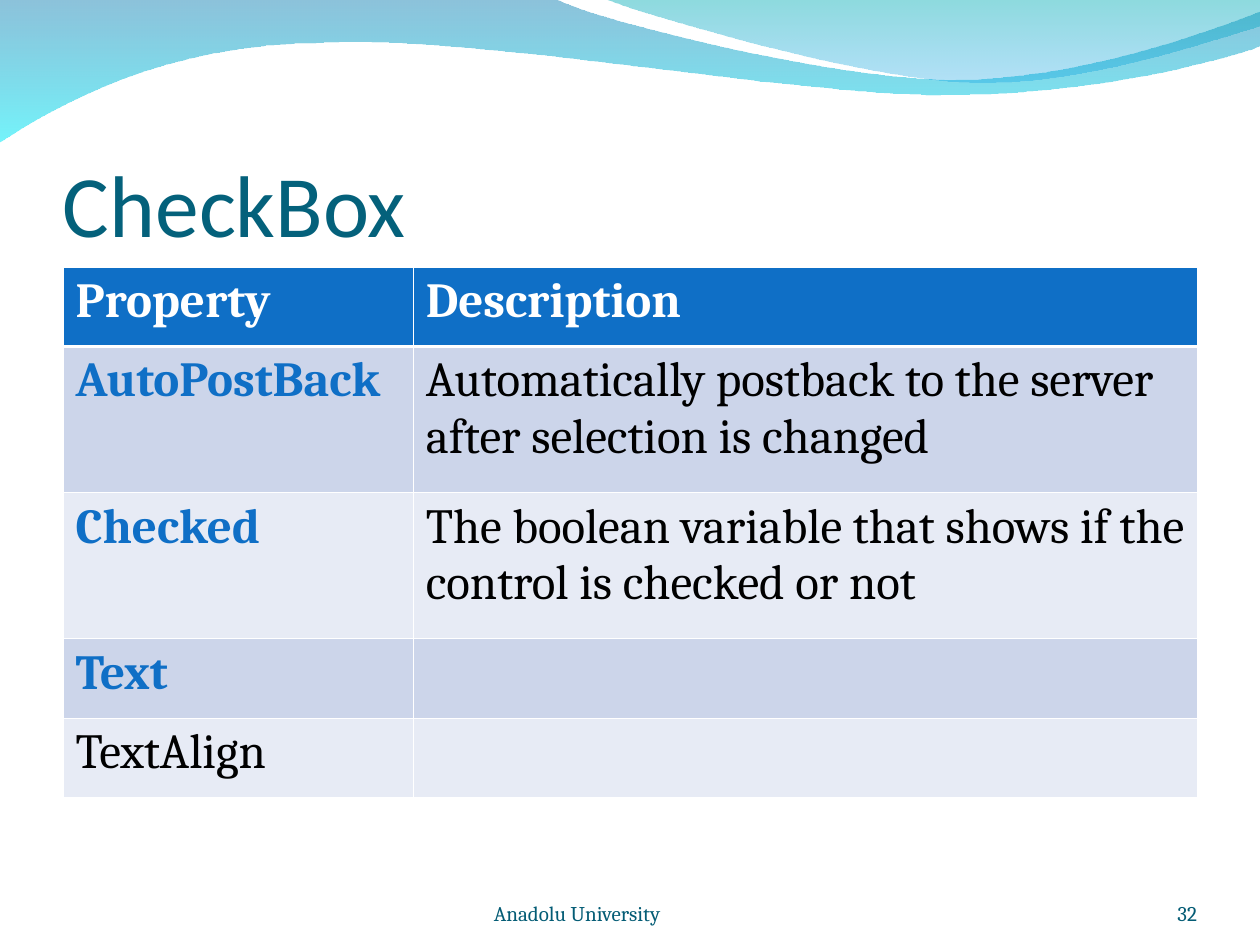
"""Build the CheckBox properties slide."""
import dataclasses

import pptx
import pptx.dml.color
import pptx.enum.text
import pptx.oxml
import pptx.oxml.ns
import pptx.util
from pptx.util import Inches


@dataclasses.dataclass(frozen=True)
class Theme:
    """Colours, fonts and type sizes of the slide."""
    heading: str = "Calibri"
    body: str = "Cambria"
    title_size: int = 50
    table_size: int = 28
    footer_size: int = 12
    title: str = "04617B"
    footer: str = "045C75"
    accent: str = "0F6FC6"
    white: str = "FFFFFF"
    black: str = "000000"
    bands: tuple = ("CCD5EA", "E7EBF5")
    back_wave: tuple = (("0079AF", 45), ("00EBF8", 55))
    front_wave: tuple = (("00ADB6", 45), ("009BE5", 30))


THEME = Theme()

BACK_WAVE = [
    [(0, -0.01)], [(4.4, -0.01)],
    [(4.76, 0.17), (6.64, 0.63), (7.58, 0.63)],
    [(8.53, 0.63), (9.58, 0.26), (10, 0.09)],
    [(10.01, 0.36)],
    [(9.83, 0.44), (8.7, 0.76), (7.46, 0.75)],
    [(6.22, 0.75), (3.82, 0.28), (2.57, 0.34)],
    [(1.29, 0.35), (0.46, 0.83), (-0.01, 1.13)],
]
FRONT_WAVE = [
    [(4.79, -0.01)],
    [(5.09, 0.11), (6.82, 0.62), (7.69, 0.65)],
    [(8.56, 0.69), (9.61, 0.32), (10, 0.21)],
    [(10, 0)],
]
ROWS = [
    ("Property", "Description"),
    ("AutoPostBack", "Automatically postback to the server after selection is changed"),
    ("Checked", "The boolean variable that shows if the control is checked or not"),
    ("Text", ""),
    ("TextAlign", ""),
]
KEY_PROPERTIES = {"AutoPostBack", "Checked", "Text"}


def rgb(color):
    """Return a colour object for a hex string."""
    return pptx.dml.color.RGBColor.from_string(color)


def set_font(p, name, size, color, bold=False):
    """Set the font of a whole paragraph."""
    p.font.name = name
    p.font.size = pptx.util.Pt(size)
    p.font.color.rgb = rgb(color)
    p.font.bold = bold


def add_wave(s, segments, stops):
    """Draw a closed outline of lines and Bezier curves with a vertical gradient."""
    points = [(Inches(x), Inches(y)) for seg in segments for x, y in seg]
    builder = s.shapes.build_freeform(*points[0])
    builder.add_line_segments(points[1:], close=True)
    sp = builder.convert_to_shape()
    sp.shadow.inherit = False
    sp.line.fill.background()

    lines = iter(sp._element.findall(".//" + pptx.oxml.ns.qn("a:lnTo")))
    for seg in segments[1:]:
        group = [next(lines) for _ in seg]
        if len(group) == 3:
            curve = pptx.oxml.parse_xml(f'<a:cubicBezTo {pptx.oxml.ns.nsdecls("a")}/>')
            group[0].addprevious(curve)
            for line in group:
                curve.append(line[0])
                line.getparent().remove(line)

    sp.fill.gradient()
    sp.fill.gradient_angle = 270
    for stop, (color, alpha) in zip(sp.fill.gradient_stops, stops):
        stop.color.rgb = rgb(color)
        clr = stop._gs.find(pptx.oxml.ns.qn("a:srgbClr"))
        clr.append(pptx.oxml.parse_xml(
            f'<a:alpha {pptx.oxml.ns.nsdecls("a")} val="{alpha * 1000}"/>'))


def add_text(s, text, box, name, size, color, align="LEFT", indent=0, top=0):
    """Add a bottom-anchored line of text."""
    tf = s.shapes.add_textbox(*map(Inches, box)).text_frame
    tf.word_wrap = True
    tf.vertical_anchor = pptx.enum.text.MSO_ANCHOR.BOTTOM
    tf.margin_left = tf.margin_right = tf.margin_bottom = 0
    tf.margin_top = Inches(top)
    p = tf.paragraphs[0]
    p.text = text
    p.alignment = getattr(pptx.enum.text.PP_ALIGN, align)
    p._p.get_or_add_pPr().set("marL", str(Inches(indent)))
    set_font(p, name, size, color)


def set_borders(cell, color, widths):
    """Give a cell its left, right, top and bottom lines."""
    tc_pr = cell._tc.get_or_add_tcPr()
    for side, width in zip("LRTB", widths):
        tc_pr.append(pptx.oxml.parse_xml(
            f'<a:ln{side} {pptx.oxml.ns.nsdecls("a")} w="{pptx.util.Pt(width)}">'
            f'<a:solidFill><a:srgbClr val="{color}"/></a:solidFill></a:ln{side}>'))


def add_property_table(s):
    """Add the banded table of control properties."""
    table = s.shapes.add_table(
        len(ROWS), 2, Inches(0.5), Inches(2.12), Inches(9), Inches(4.21)).table
    for column, width in zip(table.columns, (2.78, 6.22)):
        column.width = Inches(width)
    thin, thick = 0.45, 1.47
    for i, texts in enumerate(ROWS):
        table.rows[i].height = Inches(1.16 if i in (1, 2) else 0.63)
        for j, text in enumerate(texts):
            cell = table.cell(i, j)
            set_borders(cell, THEME.white, (
                thin, thin, thick if i == 1 else thin, thick if i == 0 else thin))
            cell.fill.solid()
            cell.fill.fore_color.rgb = rgb(THEME.bands[(i - 1) % 2] if i else THEME.accent)
            key = text in KEY_PROPERTIES
            color = THEME.white if i == 0 else THEME.accent if key else THEME.black
            p = cell.text_frame.paragraphs[0]
            p.text = text
            set_font(p, THEME.body, THEME.table_size, color, i == 0 or key)


def main():
    """Build and save the slide."""
    prs = pptx.Presentation()
    prs.slide_width, prs.slide_height = Inches(10), Inches(7.5)
    s = prs.slides.add_slide(prs.slide_layouts[6])
    add_wave(s, BACK_WAVE, THEME.back_wave)
    add_wave(s, FRONT_WAVE, THEME.front_wave)
    add_text(s, "CheckBox", (0.5, 0.77, 9, 1.25),
             THEME.heading, THEME.title_size, THEME.title, top=0.05)
    add_property_table(s)
    footer = (THEME.body, THEME.footer_size, THEME.footer)
    add_text(s, "32", (8.67, 6.95, 0.83, 0.4), *footer, align="RIGHT")
    add_text(s, "Anadolu University", (2.92, 6.95, 3.67, 0.4), *footer, indent=1)
    prs.save("out.pptx")


if __name__ == "__main__":
    main()
